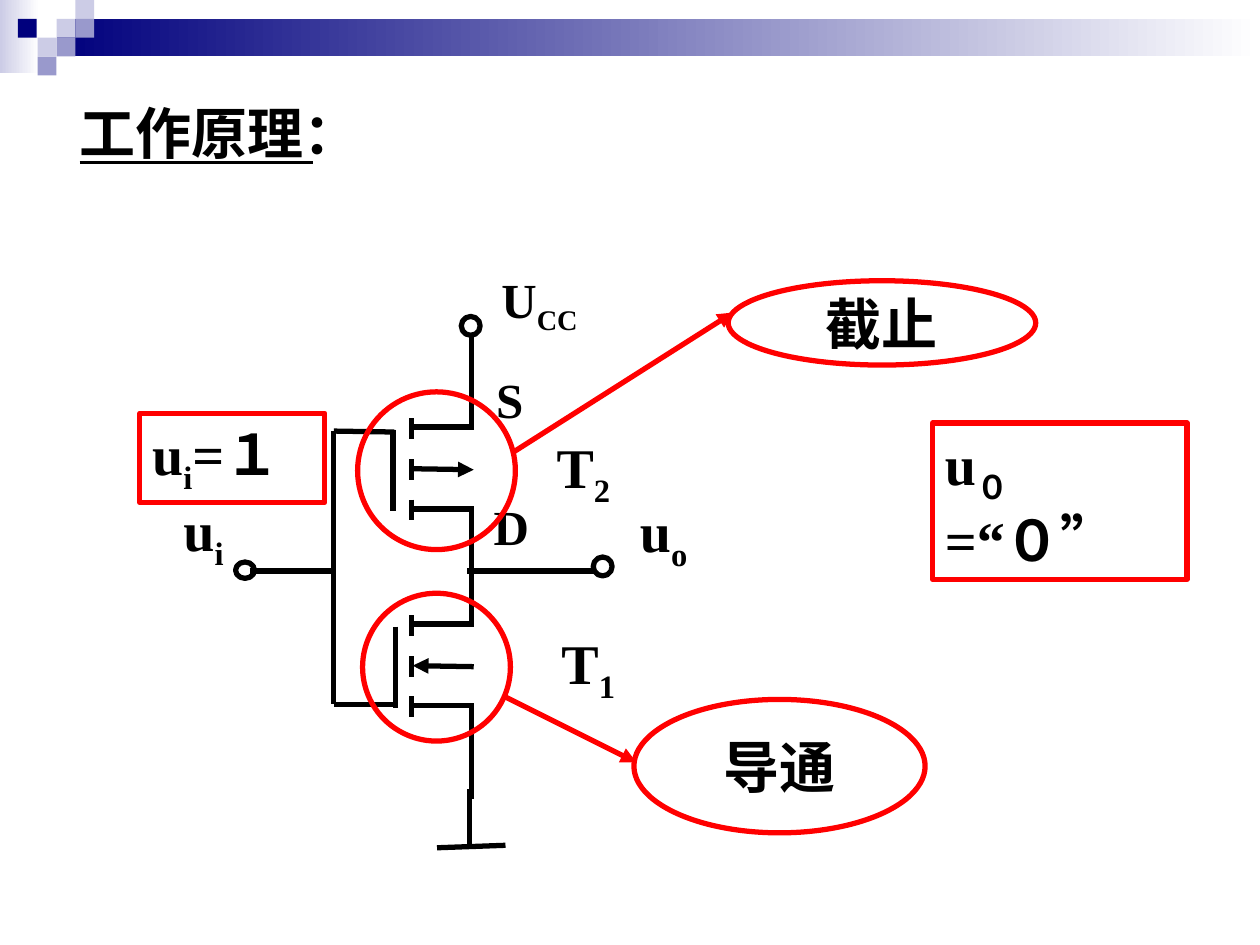
from dataclasses import dataclass

from lxml.etree import SubElement
from pptx import Presentation
from pptx.dml.color import RGBColor
from pptx.enum.shapes import MSO_CONNECTOR, MSO_SHAPE
from pptx.enum.text import MSO_ANCHOR, MSO_AUTO_SIZE, PP_ALIGN
from pptx.oxml.ns import qn
from pptx.util import Cm, Pt


@dataclass(frozen=True)
class Theme:
    font: str = "Times New Roman"
    ink: RGBColor = RGBColor(0x00, 0x00, 0x00)
    accent: RGBColor = RGBColor(0xFF, 0x00, 0x00)
    navy: RGBColor = RGBColor(0x00, 0x00, 0x7D)
    mid: RGBColor = RGBColor(0x99, 0x99, 0xCC)
    pale: RGBColor = RGBColor(0xCC, 0xCC, 0xE6)
    white: RGBColor = RGBColor(0xFF, 0xFF, 0xFF)
    large: int = 32
    small: int = 28
    stroke: int = 3


THEME = Theme()


def add_shape(s, kind, x, y, w, h, line=None):
    sp = s.shapes.add_shape(kind, Cm(x), Cm(y), Cm(w), Cm(h))
    sp.shadow.inherit = False
    if line is None:
        sp.line.fill.background()
    else:
        sp.fill.background()
        sp.line.color.rgb = line
        sp.line.width = Pt(THEME.stroke)
    return sp


def add_line(s, x1, y1, x2, y2, color=THEME.ink, arrow=False):
    line = s.shapes.add_connector(
        MSO_CONNECTOR.STRAIGHT, Cm(x1), Cm(y1), Cm(x2), Cm(y2))
    line.line.color.rgb = color
    line.line.width = Pt(THEME.stroke)
    if arrow:
        SubElement(line.line._get_or_add_ln(), qn("a:tailEnd"), type="triangle")
    SubElement(line._element.spPr, qn("a:effectLst"))


def write(sp, *parts, size=THEME.large, align=PP_ALIGN.LEFT,
          anchor=MSO_ANCHOR.TOP, wrap=True):
    """Write runs on one paragraph; every second part is a subscript."""
    tf = sp.text_frame
    tf.word_wrap = wrap
    tf.auto_size = MSO_AUTO_SIZE.NONE
    tf.vertical_anchor = anchor
    p = tf.paragraphs[0]
    p.alignment = align
    p.font.name = THEME.font
    p.font.size = Pt(size)
    p.font.bold = True
    p.font.color.rgb = THEME.ink
    for i, part in enumerate(parts):
        r = p.add_run()
        r.text = part
        if i % 2:
            r._r.get_or_add_rPr().set("baseline", "-25000")
    return p


def header(s, x, y, w):
    # Fading bars
    for left, top, width, height, color in (
            (0, 0, 0.79, 1.47, THEME.pale),
            (1.14, 0.38, w - 1.14, 0.76, THEME.navy)):
        bar = add_shape(s, MSO_SHAPE.RECTANGLE, x + left, y + top, width, height)
        bar.fill.gradient()
        bar.fill.gradient_angle = 0
        for stop, rgb in zip(bar.fill.gradient_stops, (color, THEME.white)):
            stop.color.rgb = rgb
    # Mosaic squares, by column and row
    cell = 0.38
    for col, row, color in (
            (3, 1, THEME.pale), (4, 0, THEME.pale), (4, 1, THEME.mid),
            (2, 2, THEME.pale), (0.95, 1, THEME.navy), (3, 2, THEME.mid),
            (2, 3, THEME.mid)):
        sp = add_shape(s, MSO_SHAPE.RECTANGLE,
                       x + col * cell, y + row * cell, cell, cell)
        sp.fill.solid()
        sp.fill.fore_color.rgb = color


def title(s, x, y, w, h):
    sp = s.shapes.title
    sp.left, sp.top, sp.width, sp.height = Cm(x), Cm(y), Cm(w), Cm(h)
    write(sp, "工作原理：").font.underline = True


def transistor(s, x, y, gate_shift, p_channel):
    # Gate, channel bars, source and drain leads
    add_line(s, x + gate_shift, y + 0.23, x + gate_shift, y + 1.87)
    for top in (0, 0.83, 1.64):
        add_line(s, x + 0.38, y + top, x + 0.38, y + top + 0.42)
    for level in (0.18, 1.83):
        add_line(s, x + 0.4, y + level, x + 1.63, y + level)
    # Substrate arrow
    ends = [(x + 0.4, y + 1.02), (x + 1.63, y + 1.04)]
    start, end = ends if p_channel else ends[::-1]
    add_line(s, *start, *end, arrow=True)


def circuit(s, x, y):
    transistor(s, x + 4.47, y + 3.12, 0, True)
    transistor(s, x + 4.47, y + 7.09, 0.05, False)
    # Wires
    for x1, y1, x2, y2 in (
            (3.28, 3.38, 3.28, 8.89),    # gate bus
            (3.28, 3.38, 4.5, 3.4),
            (3.28, 8.89, 4.5, 8.89),
            (1.58, 6.2, 3.28, 6.2),      # input
            (5.97, 6.2, 8.56, 6.2),      # output
            (6.05, 1.45, 6.05, 3.35),    # supply
            (6.05, 4.93, 6.05, 6.83),
            (6.05, 5.41, 6.05, 7.31),
            (6.05, 8.89, 6.05, 10.79),
            (6.02, 10.59, 6.02, 11.73),
            (5.36, 11.78, 6.74, 11.73)):  # ground
        add_line(s, x + x1, y + y1, x + x2, y + y2)
    # Terminals
    for left, top, height in ((1.3, 6.02, 0.33), (5.85, 1.07, 0.38),
                              (8.51, 5.92, 0.38)):
        add_shape(s, MSO_SHAPE.OVAL, x + left, y + top, 0.38, height, THEME.ink)
    # Labels
    for left, top, w, h, size, *parts in (
            (6.41, 0, 2.92, 1.6, THEME.small, "U", "CC"),
            (6.3, 2.01, 2.69, 1.45, THEME.small, "S"),
            (7.52, 3.28, 2.64, 1.8, THEME.large, "T", "2"),
            (6.25, 4.57, 2.69, 1.45, THEME.small, "D"),
            (7.62, 7.24, 2.64, 1.8, THEME.large, "T", "1"),
            (0, 4.55, 1.65, 1.8, THEME.large, "u", "i"),
            (9.2, 4.57, 1.65, 1.8, THEME.large, "u", "o")):
        sp = s.shapes.add_textbox(Cm(x + left), Cm(y + top), Cm(w), Cm(h))
        write(sp, *parts, size=size)


def callout(s, center, radius, arrow, oval, text):
    cx, cy = center
    add_shape(s, MSO_SHAPE.OVAL, cx - radius, cy - radius,
              2 * radius, 2 * radius, THEME.accent)
    add_line(s, *arrow, color=THEME.accent, arrow=True)
    sp = add_shape(s, MSO_SHAPE.OVAL, *oval, THEME.accent)
    write(sp, text, align=PP_ALIGN.CENTER, anchor=MSO_ANCHOR.MIDDLE, wrap=False)


def level_box(s, x, y, w, h, *parts):
    write(add_shape(s, MSO_SHAPE.RECTANGLE, x, y, w, h, THEME.accent), *parts)


def main():
    prs = Presentation()
    prs.slide_width, prs.slide_height = Cm(25.4), Cm(19.05)
    s = prs.slides.add_slide(prs.slide_layouts[5])
    header(s, 0, 0, 25.4)
    title(s, 1.35, 1.85, 5.21, 1.63)
    circuit(s, 3.45, 5.31)
    level_box(s, 2.82, 8.33, 3.73, 1.8, "u", "i", "=１")
    callout(s, (8.8, 13.45), 1.49, (10.19, 14.05, 12.83, 15.37),
            (12.78, 14.1, 5.87, 2.69), "导通")
    callout(s, (8.8, 9.49), 1.59, (10.34, 9.12, 14.78, 6.3),
            (14.68, 5.66, 6.2, 1.7), "截止")
    level_box(s, 18.8, 8.53, 5.13, 3.15, "u", "０", "=“０”")
    prs.save("out.pptx")


if __name__ == "__main__":
    main()
